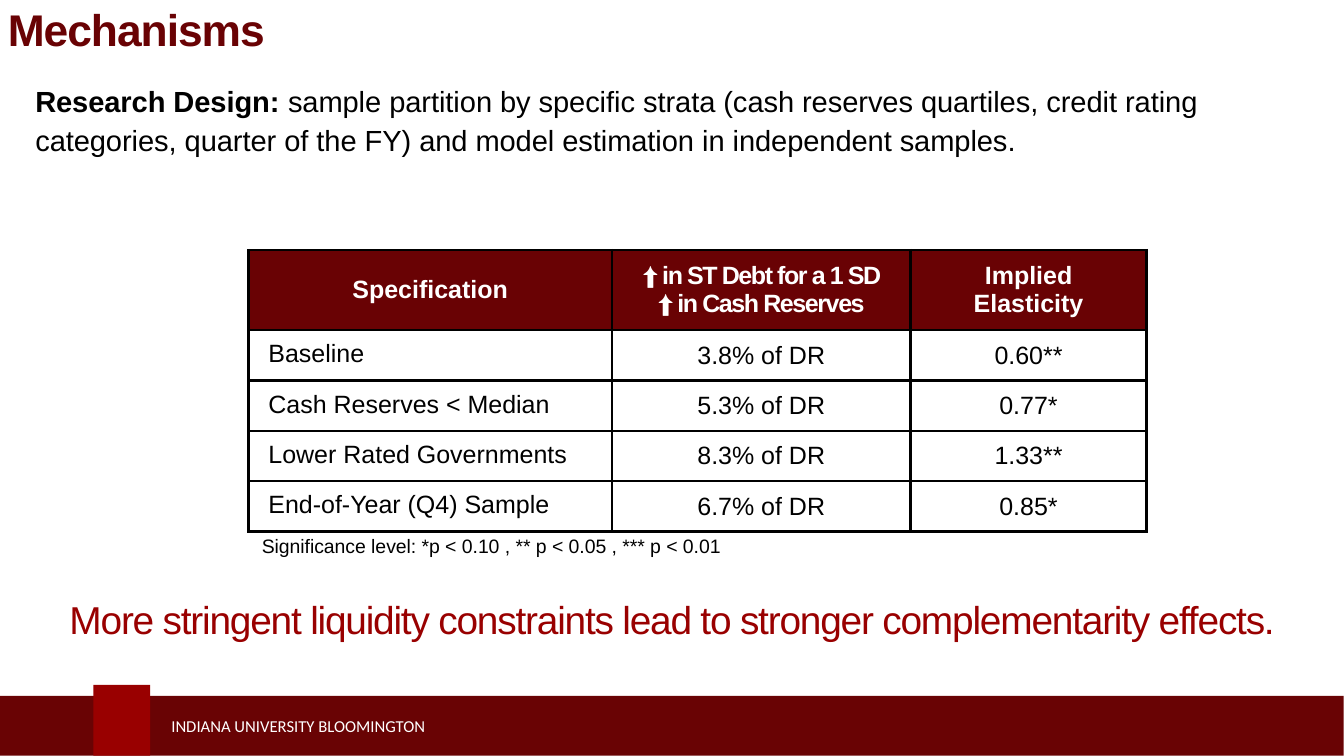
from lxml import etree
from pptx import Presentation
from pptx.dml.color import RGBColor
from pptx.enum.shapes import MSO_SHAPE
from pptx.enum.text import MSO_ANCHOR, PP_ALIGN
from pptx.oxml.ns import qn
from pptx.util import Cm, Pt

CRIMSON = RGBColor(0x99, 0x00, 0x00)
DARK_RED = RGBColor(0x69, 0x02, 0x04)
FOOTER_RED = RGBColor(0x69, 0x03, 0x04)
BLACK = RGBColor(0x00, 0x00, 0x00)
WHITE = RGBColor(0xFF, 0xFF, 0xFF)
RECTANGLE = MSO_SHAPE.RECTANGLE
LEFT, CENTER = PP_ALIGN.LEFT, PP_ALIGN.CENTER
TOP, MIDDLE = MSO_ANCHOR.TOP, MSO_ANCHOR.MIDDLE

SLIDE_WIDTH, SLIDE_HEIGHT = Pt(484.5), Pt(272.5)
COLUMN_WIDTHS = [4.62, 3.8, 3.0]
HEADER_HEIGHT, ROW_HEIGHT = 1.02, 0.64
RESULTS = [
    ["Specification", "⬆️ in ST Debt for a 1 SD ⬆️ in Cash Reserves", "Implied Elasticity"],
    ["Baseline", "3.8% of DR", "0.60**"],
    ["Cash Reserves < Median", "5.3% of DR", "0.77*"],
    ["Lower Rated Governments", "8.3% of DR", "1.33**"],
    ["End-of-Year (Q4) Sample", "6.7% of DR", "0.85*"],
]


class SlideBuilder:
    def __init__(self, page, font="Arial"):
        self.page = page
        self.font = font

    def style(self, para, size, color, bold=False, align=LEFT, font=None, tracking=0):
        """Format a paragraph; tracking is letter spacing in points."""
        para.alignment = align
        para.font.name = font or self.font
        para.font.size = Pt(size)
        para.font.color.rgb = color
        if bold is not None:
            para.font.bold = bold
        if tracking:
            for span in para.runs:
                span._r.get_or_add_rPr().set("spc", str(round(tracking * 100)))

    def bar(self, left, top, width, height, color):
        bar = self.page.shapes.add_shape(RECTANGLE, Cm(left), Cm(top), Cm(width), Cm(height))
        bar.shadow.inherit = False
        bar.fill.solid()
        bar.fill.fore_color.rgb = color
        bar.line.fill.background()

    def text(self, left, top, width, height, spans, size, color,
             tight=False, anchor=TOP, line_spacing=None, **style):
        """Add one paragraph made of (wording, bold) spans."""
        box = self.page.shapes.add_textbox(Cm(left), Cm(top), Cm(width), Cm(height))
        frame = box.text_frame
        frame.word_wrap = True
        frame.vertical_anchor = anchor
        if tight:
            frame.margin_left = frame.margin_right = frame.margin_bottom = 0
            frame.margin_top = Cm(0.03)
        para = frame.paragraphs[0]
        for wording, bold in spans:
            span = para.add_run()
            span.text = wording
            span.font.bold = bold
        para.line_spacing = line_spacing
        self.style(para, size, color, bold=None, **style)

    def border(self, cell):
        properties = cell._tc.get_or_add_tcPr()
        for side in ("a:lnL", "a:lnR", "a:lnT", "a:lnB"):
            line = etree.SubElement(properties, qn(side), w=str(Pt(1)))
            fill = etree.SubElement(line, qn("a:solidFill"))
            etree.SubElement(fill, qn("a:srgbClr"), val=str(BLACK))

    def table(self, left, top, rows):
        height = HEADER_HEIGHT + ROW_HEIGHT * (len(rows) - 1)
        table = self.page.shapes.add_table(
            len(rows), len(COLUMN_WIDTHS), Cm(left), Cm(top),
            Cm(sum(COLUMN_WIDTHS)), Cm(height)).table
        table.first_row = table.horz_banding = False
        for column, width in zip(table.columns, COLUMN_WIDTHS):
            column.width = Cm(width)
        for r, row in enumerate(rows):
            header = r == 0
            table.rows[r].height = Cm(HEADER_HEIGHT if header else ROW_HEIGHT)
            for c, wording in enumerate(row):
                cell = table.cell(r, c)
                label = c == 0 and not header
                cell.text = wording
                cell.vertical_anchor = TOP if label else MIDDLE
                if header:
                    cell.margin_left = cell.margin_right = Cm(0.31)
                self.border(cell)
                cell.fill.solid()
                cell.fill.fore_color.rgb = DARK_RED if header else WHITE
                self.style(cell.text_frame.paragraphs[0], 9, WHITE if header else BLACK,
                           bold=header, align=LEFT if label else CENTER,
                           tracking=-0.5 if header and c == 1 else 0)


def main():
    deck = Presentation()
    deck.slide_width, deck.slide_height = SLIDE_WIDTH, SLIDE_HEIGHT
    slide = SlideBuilder(deck.slides.add_slide(deck.slide_layouts[6]))

    slide.bar(0, 8.85, 17.09, 0.76, FOOTER_RED)
    slide.bar(1.19, 8.71, 0.72, 0.9, CRIMSON)
    slide.text(1.93, 8.98, 6.76, 0.5, [("INDIANA UNIVERSITY BLOOMINGTON", False)],
               6, WHITE, anchor=MIDDLE, font="Calibri")

    slide.text(0.1, 0, 16.99, 0.7, [("Mechanisms", True)], 16, DARK_RED,
               tight=True, tracking=-0.35)
    slide.text(0.2, 0.87, 16.03, 1.24, [
        ("Research Design: ", True),
        ("sample partition by specific strata (cash reserves quartiles, credit rating "
         "categories, quarter of the FY) and model estimation in independent samples.", False),
    ], 10.5, BLACK, line_spacing=1.14)
    slide.table(3.16, 3.18, RESULTS)
    slide.text(3.08, 6.71, 11.66, 0.5,
               [("Significance level: *p < 0.10 , ** p < 0.05 , *** p < 0.01", False)],
               7, BLACK, line_spacing=Pt(7))
    slide.text(0.42, 7.54, 16.26, 0.64,
               [("More stringent liquidity constraints lead to stronger "
                 "complementarity effects.", False)],
               14, CRIMSON, tight=True, align=CENTER, tracking=-0.45)
    deck.save("out.pptx")


if __name__ == "__main__":
    main()
